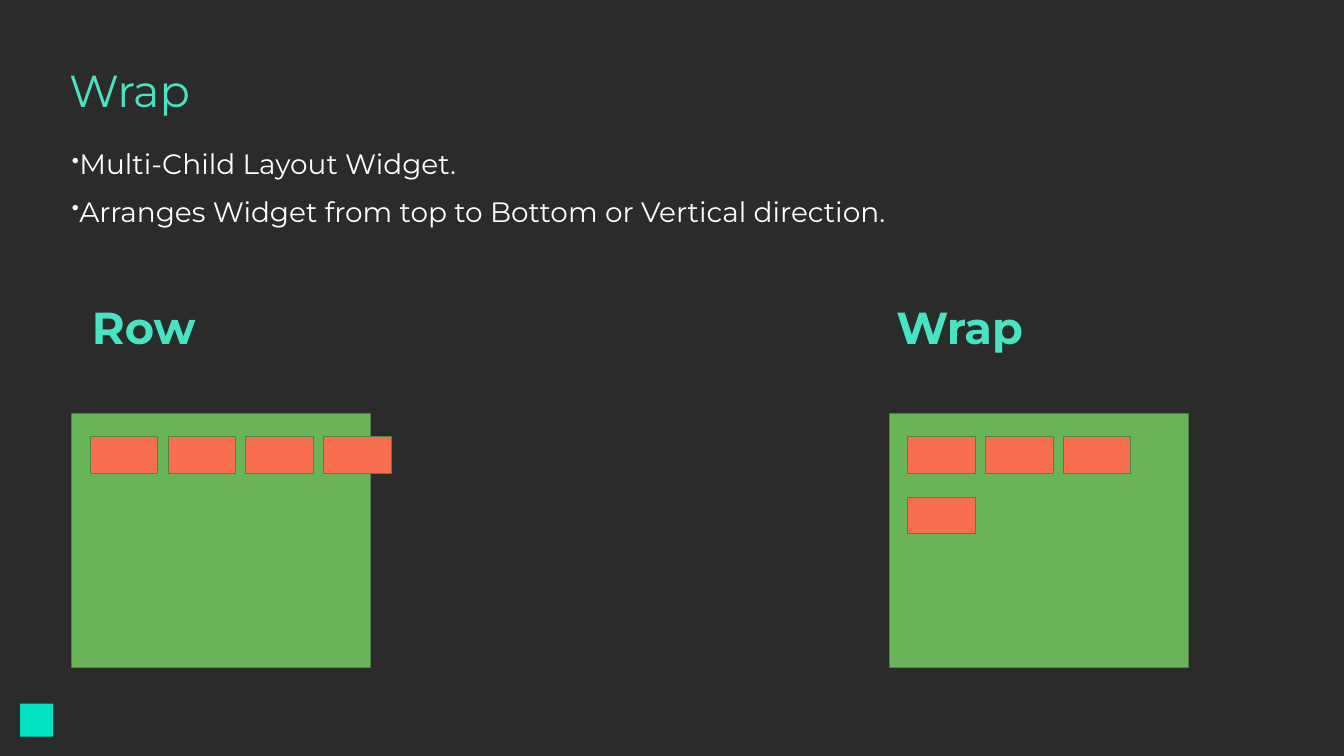
from lxml import etree
from pptx import Presentation
from pptx.dml.color import RGBColor
from pptx.enum.shapes import MSO_SHAPE
from pptx.enum.text import MSO_ANCHOR
from pptx.oxml.ns import qn
from pptx.util import Inches, Pt

RECT = MSO_SHAPE.RECTANGLE
MIDDLE = MSO_ANCHOR.MIDDLE
FONT = "Montserrat"
DARK, TEAL, WHITE = "2B2B2B", "48E3C3", "FFFFFF"
GREEN, EDGE, CORAL, MARK = "69B359", "4E8442", "F76E4E", "00E3C3"
POINTS = [
    "Multi-Child Layout Widget.",
    "Arranges Widget from top to Bottom or Vertical direction.",
]


def color(code):
    """Turn a hex string into a colour."""
    return RGBColor.from_string(code)


def style(para, size, code, bold=False):
    """Set the font of a paragraph."""
    font = para.font
    font.name, font.size, font.bold = FONT, Pt(size), bold
    font.color.rgb = color(code)


def add_box(slide, left, top, width, height, fill, edge=None):
    """Draw a flat rectangle, outlined if an edge colour is given."""
    box = slide.shapes.add_shape(
        RECT, Inches(left), Inches(top), Inches(width), Inches(height))
    box.shadow.inherit = False
    box.fill.solid()
    box.fill.fore_color.rgb = color(fill)
    if edge:
        box.line.color.rgb = color(edge)
        box.line.width = Pt(1)
    else:
        box.line.fill.background()


def add_frame(slide, left, top, width, height):
    """Add a wrapping text box and return its text frame."""
    box = slide.shapes.add_textbox(
        Inches(left), Inches(top), Inches(width), Inches(height))
    box.text_frame.word_wrap = True
    return box.text_frame


def add_head(slide, text, left, top, width, bold=False):
    """Add a one-line heading."""
    frame = add_frame(slide, left, top, width, 0.89)
    frame.vertical_anchor = MIDDLE
    para = frame.paragraphs[0]
    para.text = text
    para.line_spacing = 0.9
    style(para, 48, TEAL, bold)


def add_bullet(para):
    """Give a paragraph a small round bullet."""
    props = para._p.get_or_add_pPr()
    props.set("marL", str(Inches(0.09)))
    props.set("indent", str(Inches(-0.47)))
    etree.SubElement(props, qn("a:buSzPct")).set("val", "75000")
    etree.SubElement(props, qn("a:buChar")).set("char", "•")


def add_list(slide, lines):
    """Add the bulleted text."""
    frame = add_frame(slide, 1.07, 2.18, 18.72, 1.84)
    frame.margin_left = frame.margin_right = 0
    frame.margin_top = frame.margin_bottom = 0
    for i, line in enumerate(lines):
        para = frame.add_paragraph() if i else frame.paragraphs[0]
        para.text = line
        para.space_before = Pt(15)
        add_bullet(para)
        style(para, 30, WHITE)


def add_panel(slide, left, count, cols):
    """Draw a container with its children laid out in columns."""
    add_box(slide, left, 6.15, 4.45, 3.79, GREEN, EDGE)
    for i in range(count):
        row, col = divmod(i, cols)
        add_box(slide, left + 0.27 + 1.16 * col, 6.5 + 0.9 * row,
                1, 0.54, CORAL, EDGE)


def main():
    """Build and save the slide."""
    deck = Presentation()
    deck.slide_width, deck.slide_height = Inches(20), Inches(11.25)
    slide = deck.slides.add_slide(deck.slide_layouts[6])
    slide.background.fill.solid()
    slide.background.fill.fore_color.rgb = color(DARK)
    add_box(slide, 0.3, 10.47, 0.49, 0.49, MARK)
    add_head(slide, "Wrap", 0.93, 0.94, 18.15)
    add_list(slide, POINTS)
    add_panel(slide, 1.07, 4, cols=4)
    add_panel(slide, 13.24, 4, cols=3)
    add_head(slide, "Row", 1.27, 4.46, 4.45, bold=True)
    add_head(slide, "Wrap", 13.24, 4.46, 4.45, bold=True)
    deck.save("out.pptx")


if __name__ == "__main__":
    main()
